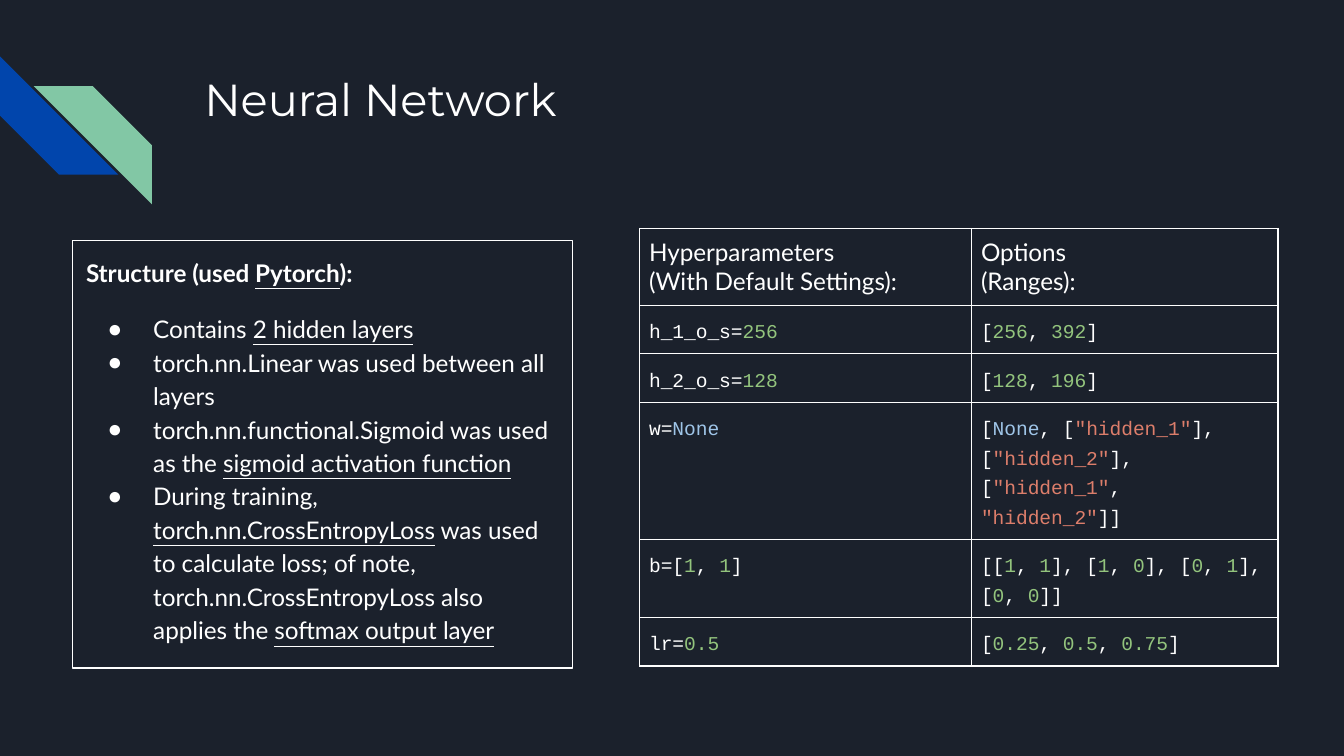
from pptx import Presentation
from pptx.dml.color import RGBColor
from pptx.enum.shapes import MSO_SHAPE
from pptx.enum.text import MSO_ANCHOR, MSO_AUTO_SIZE, PP_ALIGN
from pptx.oxml.ns import qn
from pptx.util import Inches, Pt
from lxml.etree import SubElement

COLORS = {
    "background": "1B212C",
    "text": "FFFFFF",
    "blue": "0145AC",
    "green": "82C7A5",
    "number": "93C47D",
    "none": "9FC5E8",
    "string": "DD7E6B",
}

TITLE_FONT = {"name": "Montserrat", "size": Pt(24), "bold": False}
BODY_FONT = {"name": "Lato", "size": Pt(13), "bold": False}
HEADING_FONT = {**BODY_FONT, "bold": True}
CODE_FONT = {"name": "Courier New", "size": Pt(10.5), "bold": False}
FRAME_FORMAT = {
    "word_wrap": True,
    "auto_size": MSO_AUTO_SIZE.NONE,
    "vertical_anchor": MSO_ANCHOR.TOP,
    **{f"margin_{side}": Inches(0.1) for side in ("left", "top", "right", "bottom")},
}

# Asterisks enclose underlined words in the list and coloured literals in the code
STRUCTURE_HEADING = "Structure (used *Pytorch*):"
STRUCTURE_ITEMS = [
    "Contains *2 hidden layers*",
    "torch.nn.Linear was used between all layers",
    "torch.nn.functional.Sigmoid was used as the *sigmoid activation function*",
    "During training, *torch.nn.CrossEntropyLoss* was used to calculate loss; of note, "
    "torch.nn.CrossEntropyLoss also applies the *softmax output layer*",
]
TABLE_HEADINGS = [
    ["Hyperparameters", "(With Default Settings):"],
    ["Options", "(Ranges):"],
]
HYPERPARAMETERS = [
    ("h_1_o_s=*256*", "[*256*, *392*]"),
    ("h_2_o_s=*128*", "[*128*, *196*]"),
    ("w=*None*", '[*None*, [*"hidden_1"*], [*"hidden_2"*], [*"hidden_1"*, *"hidden_2"*]]'),
    ("b=[*1*, *1*]", "[[*1*, *1*], [*1*, *0*], [*0*, *1*], [*0*, *0*]]"),
    ("lr=*0.5*", "[*0.25*, *0.5*, *0.75*]"),
]
COLUMN_WIDTHS = [2.47, 2.28]
ROW_HEIGHTS = [0.57, 0.35, 0.35, 1.01, 0.57, 0.35]


def color(name):
    return RGBColor.from_string(COLORS[name])


def set_format(target, values):
    for name, value in values.items():
        setattr(target, name, value)


def place(shape, left, top, width, height):
    box = {"left": left, "top": top, "width": width, "height": height}
    set_format(shape, {name: Inches(value) for name, value in box.items()})


def add_run(paragraph, text, font, color_name="text", underline=False):
    run = paragraph.add_run()
    run.text = text
    set_format(run.font, {**font, "underline": underline})
    run.font.color.rgb = color(color_name)


def add_underlined_text(paragraph, text, font):
    for index, part in enumerate(text.split("*")):
        if part:
            add_run(paragraph, part, font, underline=index % 2 == 1)


def add_code(paragraph, code):
    literal_colors = {'"': "string", "N": "none"}
    for index, part in enumerate(code.split("*")):
        if part:
            name = literal_colors.get(part[0], "number") if index % 2 else "text"
            add_run(paragraph, part, CODE_FONT, name)


def set_bullet(paragraph, character=None):
    properties = paragraph._p.get_or_add_pPr()
    properties.set("marL", str(Inches(0.5) if character else 0))
    properties.set("indent", str(Inches(-0.34) if character else 0))
    if character:
        bullet_color = SubElement(properties, qn("a:buClr"))
        SubElement(bullet_color, qn("a:srgbClr"), val=COLORS["text"])
        SubElement(properties, qn("a:buChar"), char=character)
    else:
        SubElement(properties, qn("a:buNone"))


def add_stripe(slide, left, top, rotation, color_name):
    stripe = slide.shapes.add_shape(MSO_SHAPE.DIAGONAL_STRIPE, 0, 0, 0, 0)
    place(stripe, left, top, 0.88, 0.88)
    stripe.rotation = rotation
    stripe.shadow.inherit = False
    stripe.fill.solid()
    stripe.fill.fore_color.rgb = color(color_name)
    stripe.line.fill.background()


def fill_title(title, text):
    place(title, 1.42, 0.43, 7.7, 1)
    set_format(title.text_frame, FRAME_FORMAT)
    paragraph = title.text_frame.paragraphs[0]
    paragraph.alignment = PP_ALIGN.LEFT
    add_run(paragraph, text, TITLE_FONT)


def fill_structure(body):
    place(body, 0.54, 1.79, 3.72, 3.18)
    body.line.color.rgb = color("text")
    body.line.width = Pt(0.75)
    frame = body.text_frame
    set_format(frame, FRAME_FORMAT)
    for index, text in enumerate([STRUCTURE_HEADING] + STRUCTURE_ITEMS):
        paragraph = frame.add_paragraph() if index else frame.paragraphs[0]
        set_format(paragraph, {
            "line_spacing": 1.15,
            "space_before": Pt(12 if index == 1 else 0),
            "space_after": Pt(0),
        })
        set_bullet(paragraph, "●" if index else None)
        add_underlined_text(paragraph, text, BODY_FONT if index else HEADING_FONT)


def format_cell(cell):
    set_format(cell, {f"margin_{side}": Inches(0.07)
                      for side in ("left", "top", "right", "bottom")})
    properties = cell._tc.get_or_add_tcPr()
    for edge in ("lnL", "lnR", "lnT", "lnB"):
        line = SubElement(properties, qn(f"a:{edge}"), w=str(Pt(0.75)))
        fill = SubElement(line, qn("a:solidFill"))
        SubElement(fill, qn("a:srgbClr"), val=COLORS["text"])
    cell.fill.background()


def add_hyperparameter_table(slide):
    frame = slide.shapes.add_table(
        len(ROW_HEIGHTS), len(COLUMN_WIDTHS), Inches(4.76), Inches(1.7),
        Inches(sum(COLUMN_WIDTHS)), Inches(sum(ROW_HEIGHTS)))
    table = frame.table
    set_format(table, {"first_row": False, "horz_banding": False})
    for column, width in zip(table.columns, COLUMN_WIDTHS):
        column.width = Inches(width)
    for row, height in zip(table.rows, ROW_HEIGHTS):
        row.height = Inches(height)
    for cell in table.iter_cells():
        format_cell(cell)

    # Heading row
    for cell, lines in zip(table.rows[0].cells, TABLE_HEADINGS):
        cell.text_frame.add_paragraph()
        for paragraph, text in zip(cell.text_frame.paragraphs, lines):
            add_run(paragraph, text, BODY_FONT)

    # Code rows
    for row_index, codes in enumerate(HYPERPARAMETERS, start=1):
        for column_index, code in enumerate(codes):
            paragraph = table.cell(row_index, column_index).text_frame.paragraphs[0]
            paragraph.line_spacing = 1.35
            add_code(paragraph, code)


def main():
    # Widescreen slide, 16 to 9
    presentation = Presentation()
    presentation.slide_width = Inches(10)
    presentation.slide_height = Inches(10) * 9 // 16
    slide = presentation.slides.add_slide(presentation.slide_layouts[1])
    slide.background.fill.solid()
    slide.background.fill.fore_color.rgb = color("background")

    # Corner decoration
    add_stripe(slide, 0, 0.42, 270, "blue")
    add_stripe(slide, 0.25, 0.64, 90, "green")

    # Content
    fill_title(slide.shapes.title, "Neural Network")
    fill_structure(slide.placeholders[1])
    add_hyperparameter_table(slide)
    presentation.save("out.pptx")


if __name__ == "__main__":
    main()
